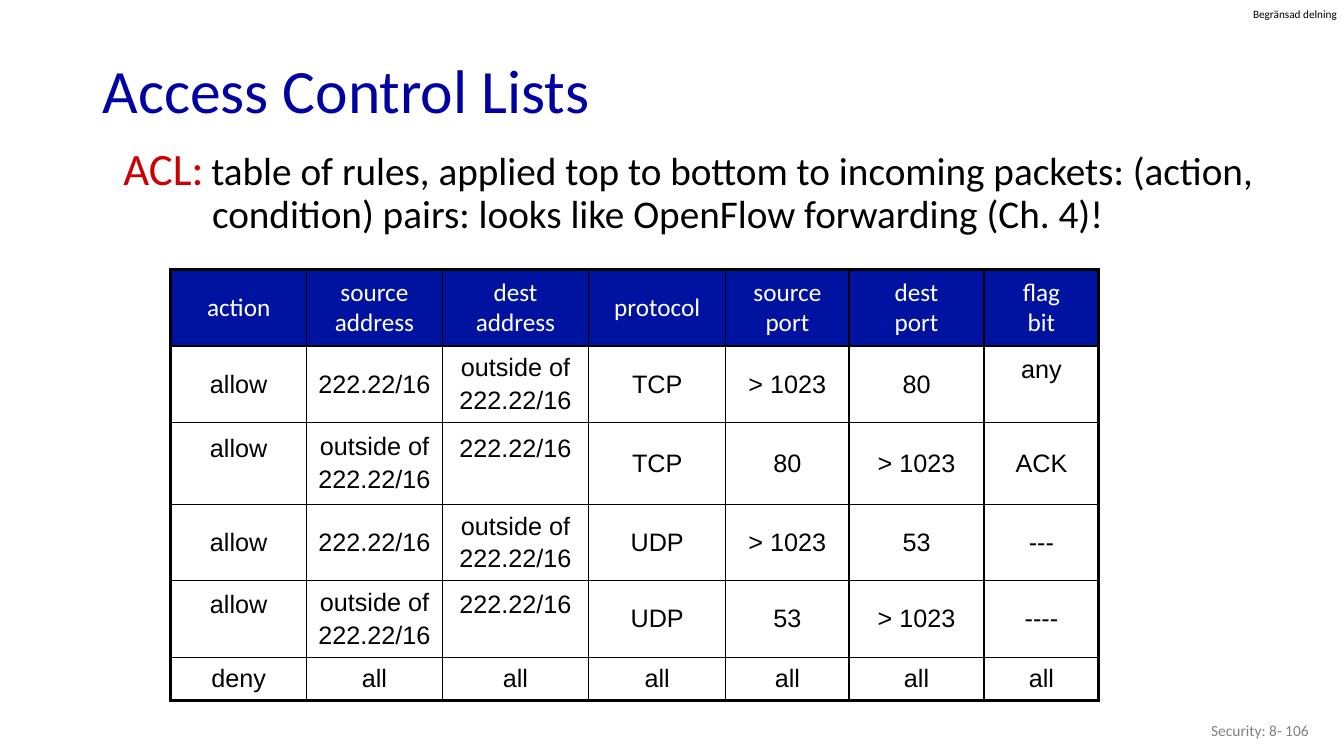
import pptx
import pptx.dml.color
import pptx.enum.text
import pptx.oxml
import pptx.oxml.ns
import pptx.util

Pt = pptx.util.Pt
ALIGN = pptx.enum.text.PP_ALIGN
ANCHOR = pptx.enum.text.MSO_ANCHOR

HEADER = ["action", "source\naddress", "dest\naddress", "protocol",
          "source\nport", "dest\nport", "flag\nbit"]
INSIDE, OUTSIDE = "222.22/16", "outside of\n222.22/16"
RULES = [
    ["allow", INSIDE, OUTSIDE, "TCP", "> 1023", "80", "any"],
    ["allow", OUTSIDE, INSIDE, "TCP", "80", "> 1023", "ACK"],
    ["allow", INSIDE, OUTSIDE, "UDP", "> 1023", "53", "---"],
    ["allow", OUTSIDE, INSIDE, "UDP", "53", "> 1023", "----"],
    ["deny"] + ["all"] * 6,
]
RAISED = {(1, 6), (2, 0), (2, 2), (4, 0), (4, 2)}
COL_WIDTHS = [97, 97, 104.5, 98, 88, 96.5, 82]
ROW_HEIGHTS = [54.7, 54.7, 58.3, 54.7, 54.7, 31]


def rgb(value):
    return pptx.dml.color.RGBColor.from_string(value)


class SlideBuilder:
    heading, accent, black, white = "0000A3", "CC0000", "000000", "FFFFFF"
    header_fill, grey = "0012A0", "808080"
    font, cell_font = "Calibri", "Arial"
    cell_size, thin, thick = 18, 1, 2.25

    def __init__(self, s):
        self.s = s

    def run(self, p, text, size, color, font=None):
        r = p.add_run()
        r.text = text
        r.font.size = Pt(size)
        r.font.name = font or self.font
        r.font.color.rgb = rgb(color)

    def title(self, text, x, y, w, h):
        sp = self.s.shapes.title
        sp.left, sp.top, sp.width, sp.height = Pt(x), Pt(y), Pt(w), Pt(h)
        tf = sp.text_frame
        tf.auto_size = pptx.enum.text.MSO_AUTO_SIZE.NONE
        tf.vertical_anchor = ANCHOR.MIDDLE
        p = tf.paragraphs[0]
        p.alignment = ALIGN.LEFT
        p.line_spacing = 0.9
        self.run(p, text, 44, self.heading)

    def text(self, runs, x, y, w, h, align=ALIGN.LEFT, anchor=ANCHOR.TOP,
             wrap=True, margins=True):
        """Add a one-paragraph text box from (text, size, color) runs."""
        tf = self.s.shapes.add_textbox(Pt(x), Pt(y), Pt(w), Pt(h)).text_frame
        tf.word_wrap = wrap
        tf.vertical_anchor = anchor
        if not margins:
            tf.margin_left = tf.margin_right = tf.margin_top = tf.margin_bottom = 0
        p = tf.paragraphs[0]
        p.alignment = align
        for text, size, color in runs:
            self.run(p, text, size, color)
        return p

    def hanging_text(self, runs, x, y, w, h, indent):
        p = self.text(runs, x, y, w, h)
        p.line_spacing = 0.9
        p.space_before = Pt(4)
        pPr = p._p.get_or_add_pPr()
        pPr.set("marL", str(Pt(indent)))
        pPr.set("indent", str(-Pt(indent)))

    def borders(self, cell, edges):
        """Draw the four cell borders, thick where the side is in edges."""
        tcPr = cell._tc.get_or_add_tcPr()
        for side in "LRTB":
            width = Pt(self.thick if side in edges else self.thin)
            tcPr.append(pptx.oxml.parse_xml(
                f'<a:ln{side} {pptx.oxml.ns.nsdecls("a")} w="{width}">'
                f'<a:solidFill><a:srgbClr val="{self.black}"/></a:solidFill>'
                f'</a:ln{side}>'))

    def cell(self, cell, text, edges, header, raised):
        cell.vertical_anchor = ANCHOR.MIDDLE
        cell.margin_left = cell.margin_right = Pt(7.2)
        cell.margin_top = Pt(3.6)
        cell.margin_bottom = Pt(24.6 if raised else 3.6)
        self.borders(cell, edges)
        if header:
            cell.fill.solid()
            cell.fill.fore_color.rgb = rgb(self.header_fill)
        else:
            cell.fill.background()
        tf = cell.text_frame
        for i, line in enumerate(text.split("\n")):
            p = tf.add_paragraph() if i else tf.paragraphs[0]
            p.alignment = ALIGN.CENTER
            if header:
                self.run(p, line, self.cell_size, self.white)
            else:
                p.space_before = Pt(3)
                self.run(p, line, self.cell_size, self.black, self.cell_font)

    def table(self, rows, x, y, widths, heights, raised):
        table = self.s.shapes.add_table(
            len(rows), len(widths), Pt(x), Pt(y),
            Pt(sum(widths)), Pt(sum(heights))).table
        table.first_row = table.horz_banding = False
        for col, width in zip(table.columns, widths):
            col.width = Pt(width)
        for row, height in zip(table.rows, heights):
            row.height = Pt(height)
        for i, row in enumerate(rows):
            for j, text in enumerate(row):
                outer = {"L": j == 0, "R": j == len(widths) - 1,
                         "T": i == 0, "B": i == len(rows) - 1}
                edges = [side for side, on in outer.items() if on]
                self.cell(table.cell(i, j), text, edges, i == 0, (i, j) in raised)


def main():
    prs = pptx.Presentation()
    prs.slide_width, prs.slide_height = Pt(960), Pt(540)
    b = SlideBuilder(prs.slides.add_slide(prs.slide_layouts[5]))

    b.text([("Begränsad delning", 8, b.black)], 895, 5, 62, 9.5,
           wrap=False, margins=False)
    b.text([("Security: 8- 106", 11, b.grey)], 726, 507.5, 216, 29,
           ALIGN.RIGHT, ANCHOR.MIDDLE)
    b.title("Access Control Lists", 66, 31.5, 828, 70.5)
    b.table([HEADER] + RULES, 122, 192.5, COL_WIDTHS, ROW_HEIGHTS, RAISED)
    b.hanging_text([
        ("ACL:", 32, b.accent),
        (" ", 24, b.accent),
        ("table of rules, applied top to bottom to incoming packets: (action, "
         "condition) pairs: looks like OpenFlow forwarding (Ch. 4)!", 28, b.black),
    ], 81, 101, 828, 80, indent=63.4)

    prs.save("out.pptx")


if __name__ == "__main__":
    main()
